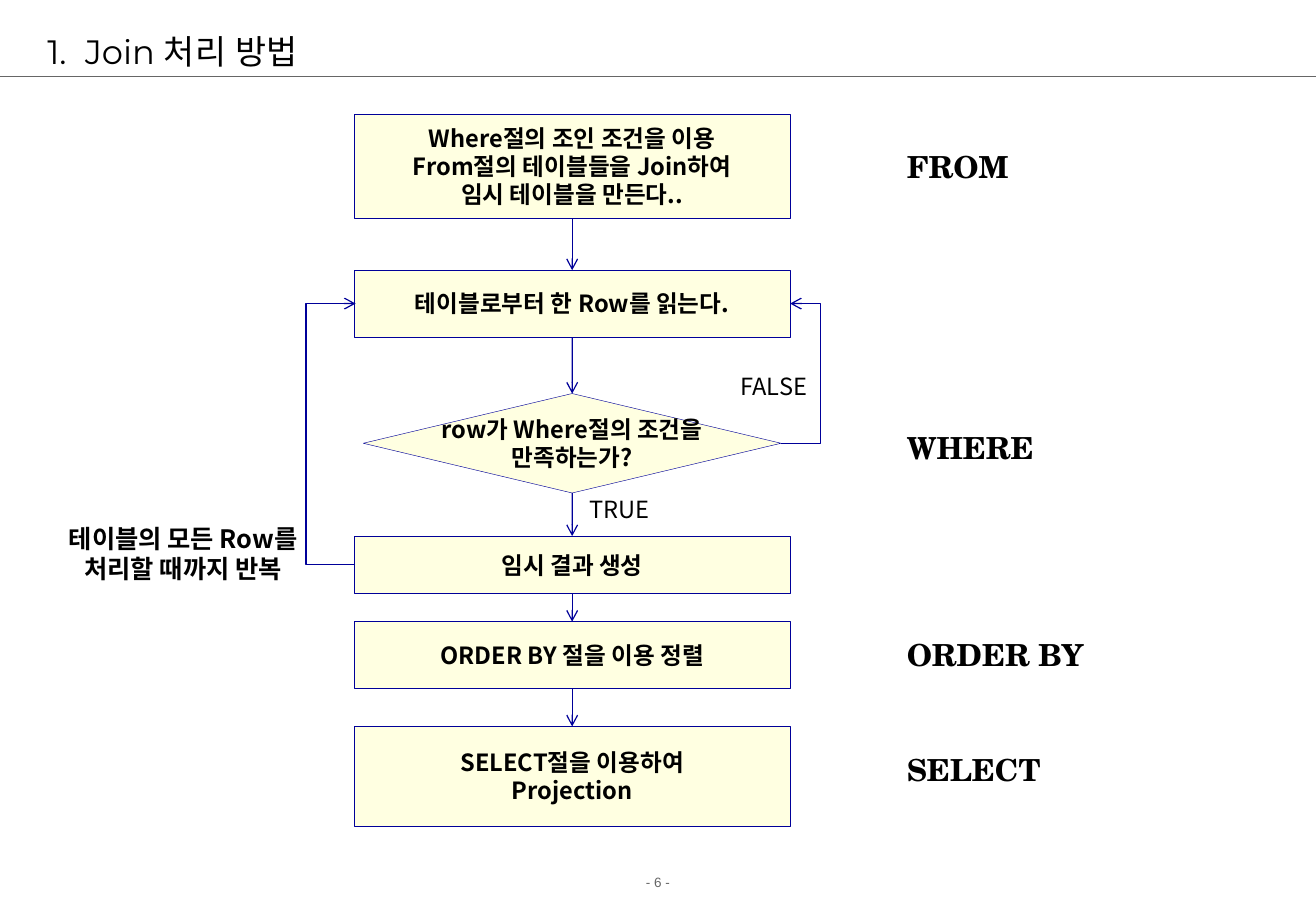
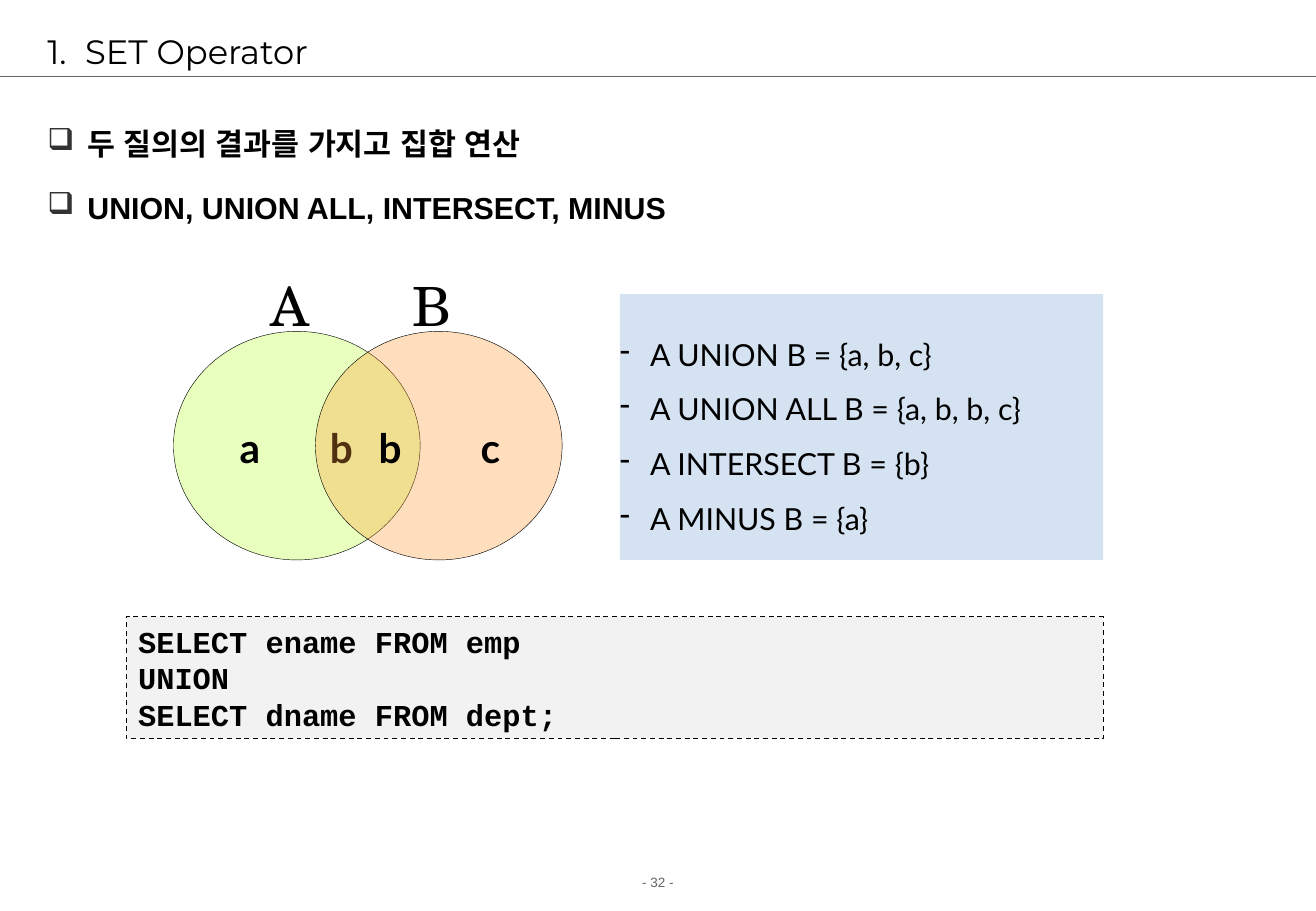
"""Build two database slides: a join flowchart and the set operators."""
from lxml.etree import SubElement
from pptx import Presentation
from pptx.dml.color import RGBColor
from pptx.enum.dml import MSO_LINE as Dash
from pptx.enum.shapes import MSO_CONNECTOR as Wire, MSO_SHAPE as Form
from pptx.enum.text import MSO_ANCHOR as Anchor, PP_ALIGN as Align
from pptx.oxml.ns import qn
from pptx.util import Cm, Pt

WIDE, HIGH = 27.53, 19.05
BLACK, GREY, NAVY, CREAM = "000000", "666666", "000099", "FFFFE1"
SANS, SERIF = "Noto Sans CJK KR", "TeX Gyre Schola"
tint = RGBColor.from_string


def put(page, form, box, text="", font=SANS, size=14, bold=False, hue=BLACK,
        align=Align.LEFT, anchor=Anchor.MIDDLE, pad=(0.25, 0.13), wrap=True,
        fill=None, alpha=None, edge=None, thick=0.25, lead=None, gap=0,
        mark=None, hang=0, dot=BLACK):
    """Add a text box, or a preset shape if a form is given."""
    area = [Cm(n) for n in box]
    if form is None:
        item = page.shapes.add_textbox(*area)
    else:
        item = page.shapes.add_shape(form, *area)
        item.shadow.inherit = False
        item.fill.solid()
        item.fill.fore_color.rgb = tint(fill)
        if alpha:
            shade = item.fill._xPr.find(".//" + qn("a:srgbClr"))
            SubElement(shade, qn("a:alpha"), val=str(alpha * 1000))
        if edge:
            item.line.color.rgb = tint(edge)
            item.line.width = Pt(thick)
        else:
            item.line.fill.background()
    frame = item.text_frame
    frame.text = text
    frame.word_wrap = wrap
    frame.vertical_anchor = anchor
    frame.margin_left = frame.margin_right = Cm(pad[0])
    frame.margin_top = frame.margin_bottom = Cm(pad[1])
    for para in frame.paragraphs:
        para.alignment = align
        para.line_spacing = lead or (Pt(1.19 * size) if font == SANS else 1.0)
        para.space_before = Pt(gap)
        para.font.name, para.font.size, para.font.bold = font, Pt(size), bold
        para.font.color.rgb = tint(hue)
        props = para._p.get_or_add_pPr()
        base = props.find(qn("a:defRPr"))
        SubElement(base, qn("a:ea"), typeface=font)
        if mark:
            props.set("marL", str(Cm(hang)))
            props.set("indent", str(-Cm(hang)))
            ink = SubElement(props, qn("a:buClr"))
            SubElement(ink, qn("a:srgbClr"), val=dot)
            if mark == "1.":
                sign = SubElement(props, qn("a:buAutoNum"), type="arabicPeriod")
            else:
                sign = SubElement(props, qn("a:buChar"), char=mark)
            base.addprevious(ink)
            base.addprevious(sign)
    return item


def draw(page, kind, start, end, hue, arrow=False):
    """Add a connector between two points."""
    wire = page.shapes.add_connector(kind, *start, *end)
    wire.line.color.rgb = tint(hue)
    wire.line.width = Pt(0.75)
    if arrow:
        SubElement(wire.line._get_or_add_ln(), qn("a:tailEnd"), type="arrow")
    SubElement(wire._element.spPr, qn("a:effectLst"))
    return wire


deck = Presentation()
deck.slide_width, deck.slide_height = Cm(WIDE), Cm(HIGH)
pages = []
for title, number in [("Join 처리 방법", 6), ("SET Operator", 32)]:
    page = deck.slides.add_slide(deck.slide_layouts[6])
    put(page, None, (0, 18.14, WIDE, 0.61), f"- {number} -", "Arial", 8,
        hue=GREY, align=Align.CENTER)
    draw(page, Wire.STRAIGHT, (0, Cm(1.6)), (Cm(WIDE), Cm(1.6)), GREY)
    put(page, None, (0.74, 0.53, 25.83, 1.07), title, "Montserrat", 20,
        mark="1.", hang=0.79)
    pages.append(page)
flow, sets = pages

MID = 11.97
steps = []
for form, top, width, height, text in [
    (Form.FLOWCHART_PROCESS, 2.39, 9.12, 2.18,
     "Where절의 조인 조건을 이용\nFrom절의 테이블들을 Join하여\n임시 테이블을 만든다.."),
    (Form.FLOWCHART_PROCESS, 5.65, 9.12, 1.4, "테이블로부터 한 Row를 읽는다."),
    (Form.FLOWCHART_DECISION, 8.23, 8.74, 2.08,
     "row가 Where절의 조건을\n만족하는가?"),
    (Form.FLOWCHART_PROCESS, 11.21, 9.12, 1.2, "임시 결과 생성"),
    (Form.FLOWCHART_PROCESS, 13, 9.12, 1.4, "ORDER BY 절을 이용 정렬"),
    (Form.FLOWCHART_PROCESS, 15.19, 9.12, 2.08, "SELECT절을 이용하여\nProjection"),
]:
    steps.append(put(flow, form, (MID - width / 2, top, width, height), text,
                     bold=True, align=Align.CENTER, pad=(0, 0), wrap=False,
                     fill=CREAM, edge=NAVY))

TOP, LEFT, BASE, RIGHT = range(4)
joins = [(a, BASE, a + 1, TOP, None) for a in range(5)]
joins += [(2, RIGHT, 1, RIGHT, 17.17), (3, LEFT, 1, LEFT, 6.4)]
for a, out, b, into, bend in joins:
    ends = []
    for step, site in [(steps[a], out), (steps[b], into)]:
        across = {LEFT: 0, RIGHT: step.width}.get(site, step.width // 2)
        down = {TOP: 0, BASE: step.height}.get(site, step.height // 2)
        ends.append((step.left + across, step.top + down))
    wire = draw(flow, Wire.ELBOW if bend else Wire.STRAIGHT, *ends, NAVY, True)
    wire.begin_connect(steps[a], out)
    wire.end_connect(steps[b], into)
    if bend:
        wire.width = max(wire.width, Cm(0.03))
        ratio = (Cm(bend) - ends[0][0]) / wire.width
        guides = wire._element.spPr.find(".//" + qn("a:avLst"))
        SubElement(guides, qn("a:gd"), name="adj1",
                   fmla=f"val {round(ratio * 100000)}")

for box, text, size, bold in [
    ((0.66, 10.82, 6.35, 1.52), "테이블의 모든 Row를\n처리할 때까지 반복", 15, True),
    ((9.78, 10.21, 6.35, 0.86), "TRUE", 14, False),
    ((14.63, 7.65, 3.12, 0.86), "FALSE", 14, False),
]:
    put(flow, None, box, text, size=size, bold=bold, align=Align.CENTER)
for top, clause in [(2.97, "FROM"), (8.84, "WHERE"), (13.18, "ORDER BY"),
                    (15.57, "SELECT")]:
    put(flow, None, (18.72, top, 5.82, 1.02), clause, SERIF, 18, True)

put(sets, None, (0.74, 2.11, 25.83, 3.6),
    "두 질의의 결과를 가지고 집합 연산\nUNION, UNION ALL, INTERSECT, MINUS",
    "Arial", 18, True, anchor=Anchor.TOP, lead=1.5, gap=5.6,
    mark="❑", hang=0.84, dot="333333")
for left, fill, alpha, name, spot, items in [
    (3.63, "CCFF66", 42, "A", 6.06, [("a", 5.23), ("b", 7.14)]),
    (6.6, "FF9933", 32, "B", 9.03, [("b", 8.16), ("c", 10.26)]),
]:
    put(sets, Form.OVAL, (left, 6.93, 5.16, 4.78), fill=fill, alpha=alpha,
        edge=BLACK)
    for letter, x in items:
        put(sets, None, (x - 0.5, 8.75, 1, 1.2), letter, "Lato", 24, True,
            align=Align.CENTER, pad=(0, 0))
    put(sets, None, (spot - 0.65, 5.56, 1.3, 1.63), name, SERIF, 32,
        align=Align.CENTER, pad=(0, 0.13))

put(sets, Form.RECTANGLE, (12.97, 6.15, 10.11, 5.56),
    "A UNION B = {a, b, c}\nA UNION ALL B = {a, b, b, c}\n"
    "A INTERSECT B = {b}\nA MINUS B = {a}",
    "Lato", 18, pad=(0, 0), fill="D5E2F2", lead=1.5, mark="-", hang=0.63)
query = put(sets, Form.RECTANGLE, (2.64, 12.9, 20.44, 2.55),
            "SELECT ename FROM emp\nUNION\nSELECT dname FROM dept;",
            "Courier New", 18, True, anchor=Anchor.TOP, fill="F2F2F2",
            edge=BLACK, thick=0.75)
query.line.dash_style = Dash.DASH

deck.save("out.pptx")
